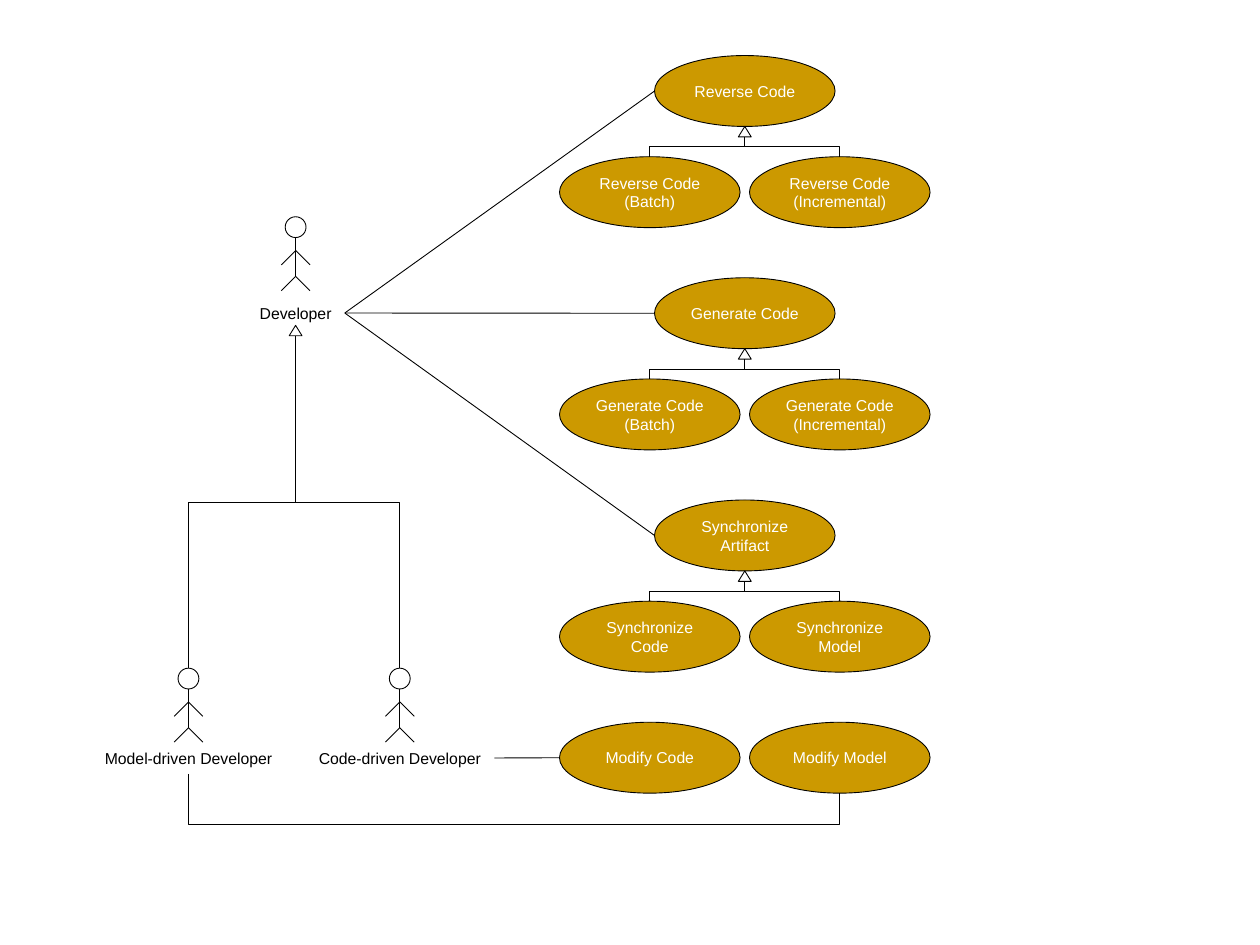
import pptx
import pptx.dml.color
import pptx.enum.shapes
import pptx.enum.text
import pptx.util
from lxml import etree

Cm = pptx.util.Cm
SHAPE = pptx.enum.shapes.MSO_SHAPE
CONNECTOR = pptx.enum.shapes.MSO_CONNECTOR
DRAWING = "{http://schemas.openxmlformats.org/drawingml/2006/main}"

BLACK, WHITE, GOLD = "000000", "FFFFFF", "CC9900"
FONT = {"name": "Arial", "size": pptx.util.Pt(9)}
OVAL_FRAME = {
    "word_wrap": True, "vertical_anchor": pptx.enum.text.MSO_ANCHOR.MIDDLE,
    "margin_left": Cm(0.18), "margin_right": Cm(0.18),
    "margin_top": Cm(0.09), "margin_bottom": Cm(0.09),
}
LABEL_FRAME = {"word_wrap": False, "auto_size": pptx.enum.text.MSO_AUTO_SIZE.SHAPE_TO_FIT_TEXT}

# Layout, in centimetres
OVAL_WIDTH, OVAL_HEIGHT = 3.64, 1.43
CASE_LEFT, CASE_TOP = 11.28, 1.12
COLUMN_STEP, ROW_STEP, CHILD_DROP = 3.83, 4.48, 2.04
ARROW_WIDTH, ARROW_HEIGHT = 0.26, 0.21
HEAD_SIZE, LABEL_HEIGHT = 0.42, 0.64


def color(value):
    return pptx.dml.color.RGBColor.from_string(value)


def assign(target, values):
    for name, value in values.items():
        setattr(target, name, value)


def outline(item):
    item.line.color.rgb = color(BLACK)
    item.line.width = pptx.util.Pt(0.5)


def write(box, text, frame_format, text_color):
    assign(box.text_frame, frame_format)
    para = box.text_frame.paragraphs[0]
    para.alignment = pptx.enum.text.PP_ALIGN.CENTER
    span = para.add_run()
    span.text = text
    assign(span.font, FONT)
    span.font.color.rgb = color(text_color)


def add_box(page, kind, left, top, width, height, fill=None):
    box = page.shapes.add_shape(kind, Cm(left), Cm(top), Cm(width), Cm(height))
    box.shadow.inherit = False
    if fill:
        box.fill.solid()
        box.fill.fore_color.rgb = color(fill)
    else:
        box.fill.background()
    outline(box)
    return box


def add_line(page, start, end, kind=CONNECTOR.STRAIGHT):
    line = page.shapes.add_connector(kind, *(Cm(value) for value in (*start, *end)))
    outline(line)
    etree.SubElement(line.element.spPr, DRAWING + "effectLst")
    return line


def add_elbow(page, start, end, bend=0.5):
    """Join two points by a line that leaves and arrives vertically."""
    (x1, y1), (x2, y2) = start, end
    middle_x, middle_y = (x1 + x2) / 2, (y1 + y2) / 2
    # A quarter turn swaps the sides; reversed ends give the flips
    half_width, half_height = (y1 - y2) / 2, (x2 - x1) / 2
    elbow = add_line(page, (middle_x - half_width, middle_y - half_height),
                     (middle_x + half_width, middle_y + half_height), CONNECTOR.ELBOW)
    elbow.element.spPr.find(DRAWING + "xfrm").set("rot", str(270 * 60000))
    guides = elbow.element.spPr.find(f"{DRAWING}prstGeom/{DRAWING}avLst")
    etree.SubElement(guides, DRAWING + "gd", name="adj1", fmla=f"val {round(bend * 100000)}")


def add_generalization(page, apex, children):
    """Hollow arrowhead below a parent, with one branch to each child."""
    x, y = apex
    add_box(page, SHAPE.ISOSCELES_TRIANGLE, x - ARROW_WIDTH / 2, y,
            ARROW_WIDTH, ARROW_HEIGHT, WHITE)
    for child in children:
        add_elbow(page, child, (x, y + ARROW_HEIGHT))


def add_use_case(page, left, top, text):
    oval = add_box(page, SHAPE.OVAL, left, top, OVAL_WIDTH, OVAL_HEIGHT, GOLD)
    write(oval, text, OVAL_FRAME, WHITE)


def add_pair(page, left, top, texts):
    for column, text in enumerate(texts):
        add_use_case(page, left + column * COLUMN_STEP, top, text)


def add_family(page, left, top, parent, children):
    """Parent use case over its two special cases."""
    parent_left = left + COLUMN_STEP / 2
    child_top = top + CHILD_DROP
    add_pair(page, left, child_top, children)
    add_use_case(page, parent_left, top, parent)
    centers = [left + OVAL_WIDTH / 2 + column * COLUMN_STEP for column in range(2)]
    add_generalization(page, (parent_left + OVAL_WIDTH / 2, top + OVAL_HEIGHT),
                       [(x, child_top) for x in centers])


def add_actor(page, x, top, name, label_width, label_drop):
    """Stick figure centred on x, with its name below."""
    shoulder, hip, limb_x, limb_y = top + 0.68, top + 1.2, 0.29, 0.29
    add_box(page, SHAPE.OVAL, x - HEAD_SIZE / 2, top, HEAD_SIZE, HEAD_SIZE)
    add_line(page, (x, top + HEAD_SIZE), (x, hip))
    for joint in (shoulder, hip):
        for side in (-1, 1):
            add_line(page, (x, joint), (x + side * limb_x, joint + limb_y))
    label = page.shapes.add_textbox(Cm(x - label_width / 2), Cm(top + label_drop),
                                    Cm(label_width), Cm(LABEL_HEIGHT))
    write(label, name, LABEL_FRAME, BLACK)
    return label


def main():
    deck = pptx.Presentation()
    deck.slide_width, deck.slide_height = Cm(25.4), Cm(19.05)
    page = deck.slides.add_slide(deck.slide_layouts[6])

    # Use cases
    families = [
        ("Reverse Code", ("Reverse Code (Batch)", "Reverse Code (Incremental)")),
        ("Generate Code", ("Generate Code (Batch)", "Generate Code (Incremental)")),
        ("Synchronize Artifact", ("Synchronize Code", "Synchronize Model")),
    ]
    row_tops = [CASE_TOP + row * ROW_STEP for row in range(len(families) + 1)]
    for top, (parent, children) in zip(row_tops, families):
        add_family(page, CASE_LEFT, top, parent, children)
    modify_top = row_tops[-1]
    add_pair(page, CASE_LEFT, modify_top, ("Modify Code", "Modify Model"))

    # Actors
    model_x, developer_x, code_x = 3.8, 5.96, 8.06
    developer_top, driven_top = 4.37, 13.47
    developer_drop, driven_drop = 1.62, 1.49
    developer = add_actor(page, developer_x, developer_top, "Developer", 1.98, developer_drop)
    add_actor(page, model_x, driven_top, "Model-driven Developer", 3.91, driven_drop)
    code_developer = add_actor(page, code_x, driven_top, "Code-driven Developer",
                               3.81, driven_drop)
    add_generalization(page, (developer_x, developer_top + developer_drop + LABEL_HEIGHT - 0.07),
                       [(model_x, driven_top), (code_x, driven_top)])

    # Associations between actors and use cases
    links = [(developer, CASE_LEFT + COLUMN_STEP / 2, top) for top in row_tops[:-1]]
    links.append((code_developer, CASE_LEFT, modify_top))
    for label, oval_left, oval_top in links:
        target = (oval_left, oval_top + OVAL_HEIGHT / 2)
        add_line(page, target, target).begin_connect(label, 3)
    add_elbow(page, (model_x, driven_top + driven_drop + LABEL_HEIGHT),
              (CASE_LEFT + COLUMN_STEP + OVAL_WIDTH / 2, modify_top + OVAL_HEIGHT), 2.6)

    deck.save("out.pptx")


if __name__ == "__main__":
    main()
